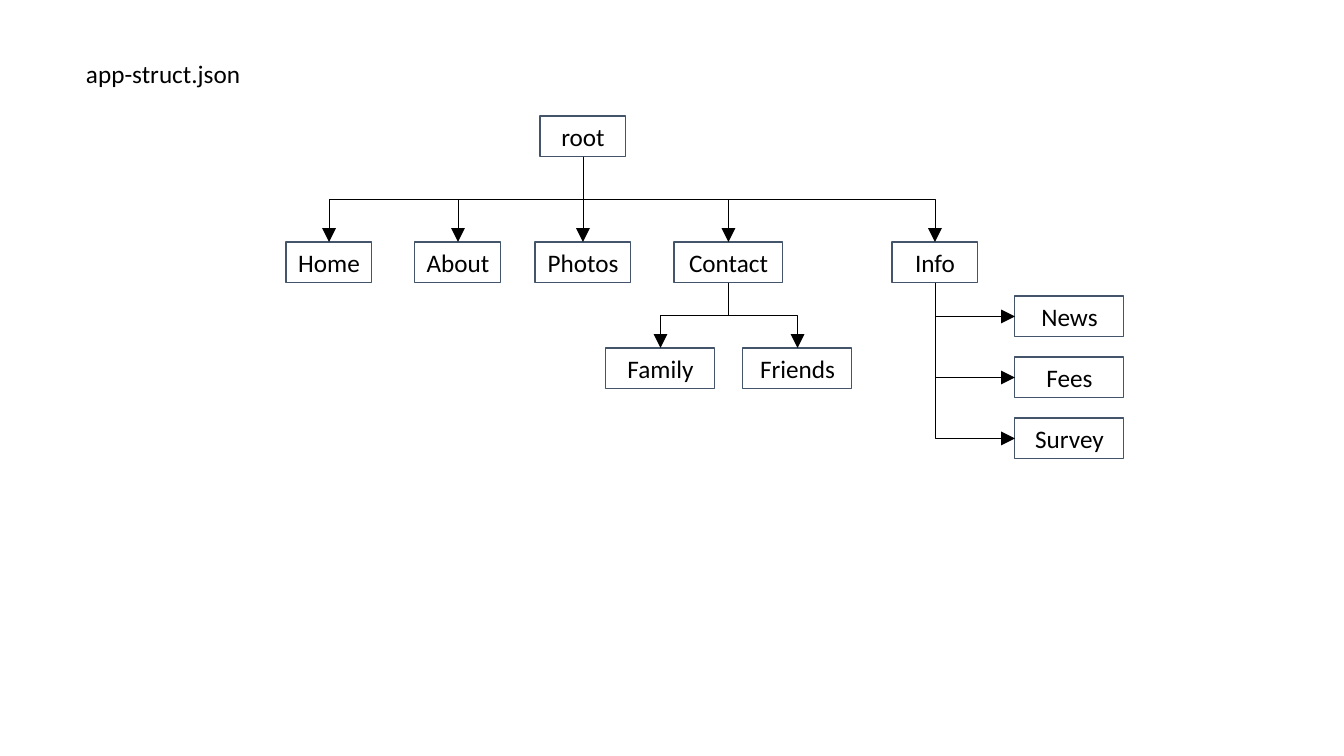
from pptx import Presentation
from pptx.dml.color import RGBColor
from pptx.enum.shapes import MSO_CONNECTOR, MSO_SHAPE
from pptx.enum.text import MSO_ANCHOR, PP_ALIGN
from pptx.oxml.ns import qn
from pptx.util import Pt
from lxml.etree import SubElement

PX = 914400 / 100.8
BLACK = RGBColor(0x00, 0x00, 0x00)
SLATE = RGBColor(0x44, 0x54, 0x6A)
TOP, LEFT, BOTTOM = 0, 1, 2
BOX_H = 41


def px(n):
    return round(n * PX)


def write(sp, text, align):
    tf = sp.text_frame
    tf.text = text
    tf.word_wrap = False
    tf.vertical_anchor = MSO_ANCHOR.MIDDLE
    tf.margin_left = tf.margin_right = px(10)
    tf.margin_top = tf.margin_bottom = px(5)
    p = tf.paragraphs[0]
    p.alignment = align
    p.line_spacing = 1.0
    f = p.runs[0].font
    f.name, f.size, f.color.rgb = "Calibri", Pt(18), BLACK


prs = Presentation()
prs.slide_width, prs.slide_height = px(1344), px(756)
s = prs.slides.add_slide(prs.slide_layouts[5])

title = s.shapes.title
title.left, title.top, title.width, title.height = px(76), px(53), px(211), px(BOX_H)
write(title, "app-struct.json", PP_ALIGN.LEFT)

nodes = [
    ("root", 540, 116, 86),
    ("Home", 286, 242, 86),
    ("About", 415, 242, 86),
    ("Photos", 535, 242, 96),
    ("Contact", 674, 242, 109),
    ("Info", 892, 242, 86),
    ("Family", 606, 348, 109),
    ("Friends", 743, 348, 109),
]
nodes += [(name, 1015, 296 + 61 * i, 109) for i, name in enumerate(["News", "Fees", "Survey"])]

boxes = {}
for name, x, y, w in nodes:
    sp = s.shapes.add_shape(MSO_SHAPE.RECTANGLE, px(x), px(y), px(w), px(BOX_H))
    sp.shadow.inherit = False
    sp.fill.background()
    sp.line.color.rgb = SLATE
    sp.line.width = Pt(0.75)
    write(sp, name, PP_ALIGN.CENTER)
    boxes[name] = sp

branches = [
    ("root", TOP, ["Home", "About", "Photos", "Contact", "Info"]),
    ("Contact", TOP, ["Family", "Friends"]),
    ("Info", LEFT, ["News", "Fees", "Survey"]),
]
for parent, side, children in branches:
    a = boxes[parent]
    x1, y1 = a.left + a.width // 2, a.top + a.height
    for child in children:
        b = boxes[child]
        x2 = b.left + b.width // 2 if side == TOP else b.left
        y2 = b.top if side == TOP else b.top + b.height // 2
        dx, dy = x2 - x1, y2 - y1
        straight = abs(dx) < px(1)
        kind = MSO_CONNECTOR.STRAIGHT if straight else MSO_CONNECTOR.ELBOW
        c = s.shapes.add_connector(kind, x1, y1, x2, y2)
        c.begin_connect(a, BOTTOM)
        c.end_connect(b, side)
        c.line.color.rgb = BLACK
        c.line.width = Pt(0.5)
        spPr = c._element.spPr
        if not straight:
            c.left = (x1 + x2 - dy) // 2
            c.top = (y1 + y2 - abs(dx)) // 2
            c.width, c.height = dy, abs(dx)
            xfrm = spPr.find(qn("a:xfrm"))
            xfrm.set("rot", "16200000" if dx > 0 else "5400000")
            xfrm.set("flipH", "1" if dx > 0 else "0")
        if side == LEFT:
            spPr.find(qn("a:prstGeom")).set("prst", "bentConnector2")
        SubElement(spPr.find(qn("a:ln")), qn("a:tailEnd"), type="triangle", w="lg", len="lg")
        SubElement(spPr, qn("a:effectLst"))

prs.save("out.pptx")
